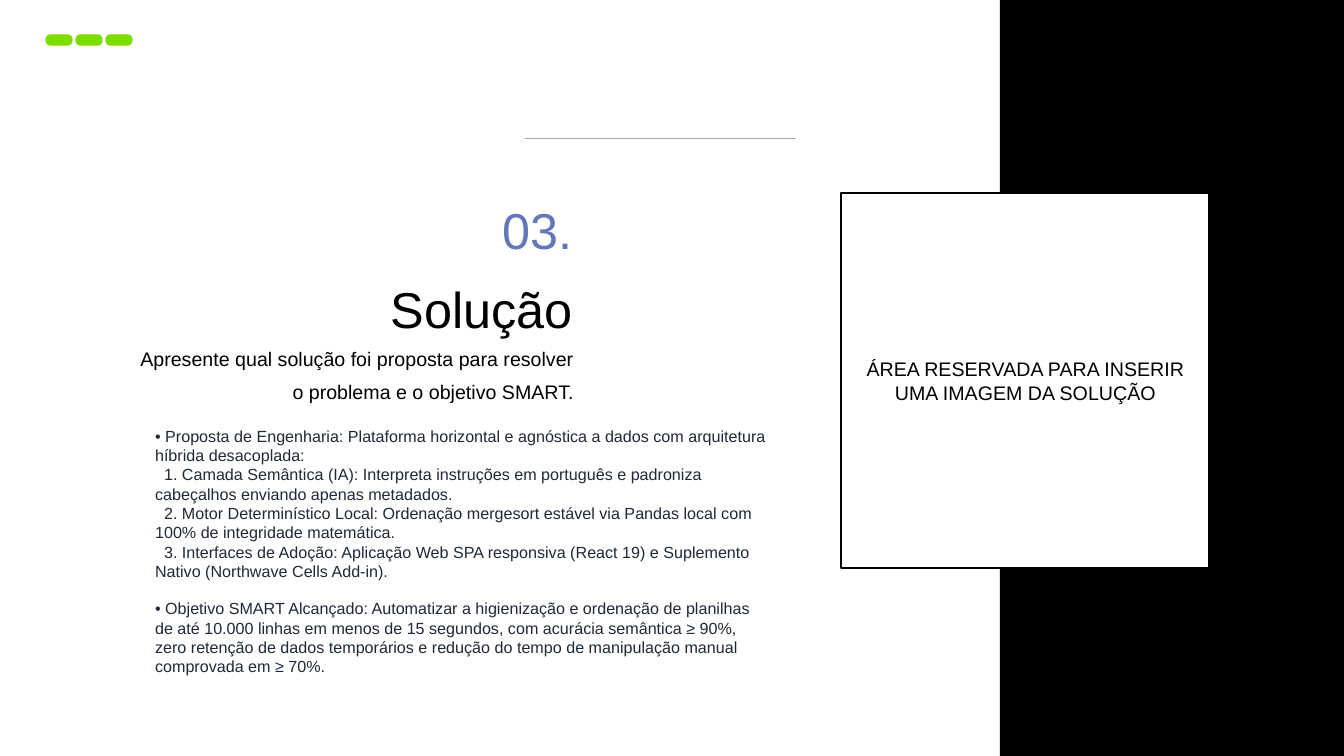
from pptx import Presentation
from pptx.dml.color import RGBColor
from pptx.enum.shapes import MSO_CONNECTOR, MSO_SHAPE
from pptx.enum.text import MSO_ANCHOR, MSO_AUTO_SIZE, PP_ALIGN
from pptx.oxml.ns import qn
from pptx.util import Emu, Pt

BLACK = RGBColor(0, 0, 0)
WHITE = RGBColor(255, 255, 255)
GREEN = RGBColor(0x7D, 0xDD, 0x00)
BLUE = RGBColor(0x63, 0x78, 0xB9)
SLATE = RGBColor(0x1F, 0x29, 0x37)
GREY = RGBColor(0xA6, 0xA6, 0xA6)
PX = 914400 / 100.8


def px(*nums):
    """Turn pixel lengths into EMU."""
    return [Emu(round(n * PX)) for n in nums]


def write(frame, rows, gap, align, anchor=MSO_ANCHOR.TOP):
    """Fill a frame with (text, size, colour, indent, space before) rows."""
    look = {"word_wrap": True, "auto_size": MSO_AUTO_SIZE.NONE,
            "vertical_anchor": anchor}
    for key, value in look.items():
        setattr(frame, key, value)
    frame.text = "\n".join(row[0] for row in rows)
    for para, (_, size, color, indent, before) in zip(frame.paragraphs, rows):
        props = para._p.get_or_add_pPr()
        props.set("marL", "0")
        props.set("indent", str(px(indent)[0]))
        style = {"alignment": align, "line_spacing": gap,
                 "space_before": Pt(before), "space_after": Pt(0)}
        for key, value in style.items():
            setattr(para, key, value)
        props.append(props.makeelement(qn("a:buNone"), {}))
        for run in para.runs:
            for key, value in {"name": "Arial", "size": Pt(size)}.items():
                setattr(run.font, key, value)
            run.font.color.rgb = color


deck = Presentation()
deck.slide_width, deck.slide_height = px(1344, 756)
slide = deck.slides.add_slide(deck.slide_layouts[1])
shapes = slide.shapes
title, body = slide.placeholders

# Panel, green pills and image frame
blocks = [(MSO_SHAPE.RECTANGLE, (1000, 0, 344, 756), BLACK, None, 0)]
blocks += [(MSO_SHAPE.FLOWCHART_TERMINATOR, (46 + 30 * i, 35, 26, 10),
            GREEN, GREEN, 1) for i in range(3)]
blocks.append((MSO_SHAPE.RECTANGLE, (841, 193, 369, 375), WHITE, BLACK, 2))
for kind, place, fill, edge, width in blocks:
    shape = shapes.add_shape(kind, *px(*place))
    shape.shadow.inherit = False
    shape.fill.solid()
    shape.fill.fore_color.rgb = fill
    if edge is None:
        shape.line.fill.background()
    else:
        shape.line.color.rgb = edge
        shape.line.width = Pt(width)
frame = shape
write(frame.text_frame,
      [("ÁREA RESERVADA PARA INSERIR UMA IMAGEM DA SOLUÇÃO", 14, BLACK, 0, 0)],
      1.0, PP_ALIGN.CENTER, MSO_ANCHOR.MIDDLE)

# Rule above the heading
rule = shapes.add_connector(MSO_CONNECTOR.STRAIGHT, *px(796, 139, 525, 139))
rule.line.color.rgb = GREY
rule.line.width = Pt(0.75)
props = rule._element.spPr
props.append(props.makeelement(qn("a:effectLst"), {}))

# Heading and lead
title.left, title.top, title.width, title.height = px(119, 176, 464, 169)
write(title.text_frame,
      [("03.", 36, BLUE, 0, 0), ("Solução", 36, BLACK, 0, 0)],
      1.3, PP_ALIGN.RIGHT)
lead = shapes.add_textbox(*px(120, 333, 464, 77))
write(lead.text_frame,
      [("Apresente qual solução foi proposta para resolver o problema "
        "e o objetivo SMART.", 14, BLACK, 0, 0)],
      1.4, PP_ALIGN.RIGHT)

# Details: text, first-line indent, space before
points = [
    ("• Proposta de Engenharia: Plataforma horizontal e agnóstica a dados "
     "com arquitetura híbrida desacoplada:", 0, 0),
    ("1. Camada Semântica (IA): Interpreta instruções em português e "
     "padroniza cabeçalhos enviando apenas metadados.", 9, 0),
    ("2. Motor Determinístico Local: Ordenação mergesort estável via Pandas "
     "local com 100% de integridade matemática.", 9, 0),
    ("3. Interfaces de Adoção: Aplicação Web SPA responsiva (React 19) e "
     "Suplemento Nativo (Northwave Cells Add-in).", 9, 0),
    ("• Objetivo SMART Alcançado: Automatizar a higienização e ordenação de "
     "planilhas de até 10.000 linhas em menos de 15 segundos, com acurácia "
     "semântica ≥ 90%, zero retenção de dados temporários e redução do tempo "
     "de manipulação manual comprovada em ≥ 70%.", 0, 13),
]
body.left, body.top, body.width, body.height = px(145, 421, 634, 265)
write(body.text_frame,
      [(text, 11.5, SLATE, indent, before) for text, indent, before in points],
      1.0, PP_ALIGN.LEFT)

deck.save("out.pptx")
